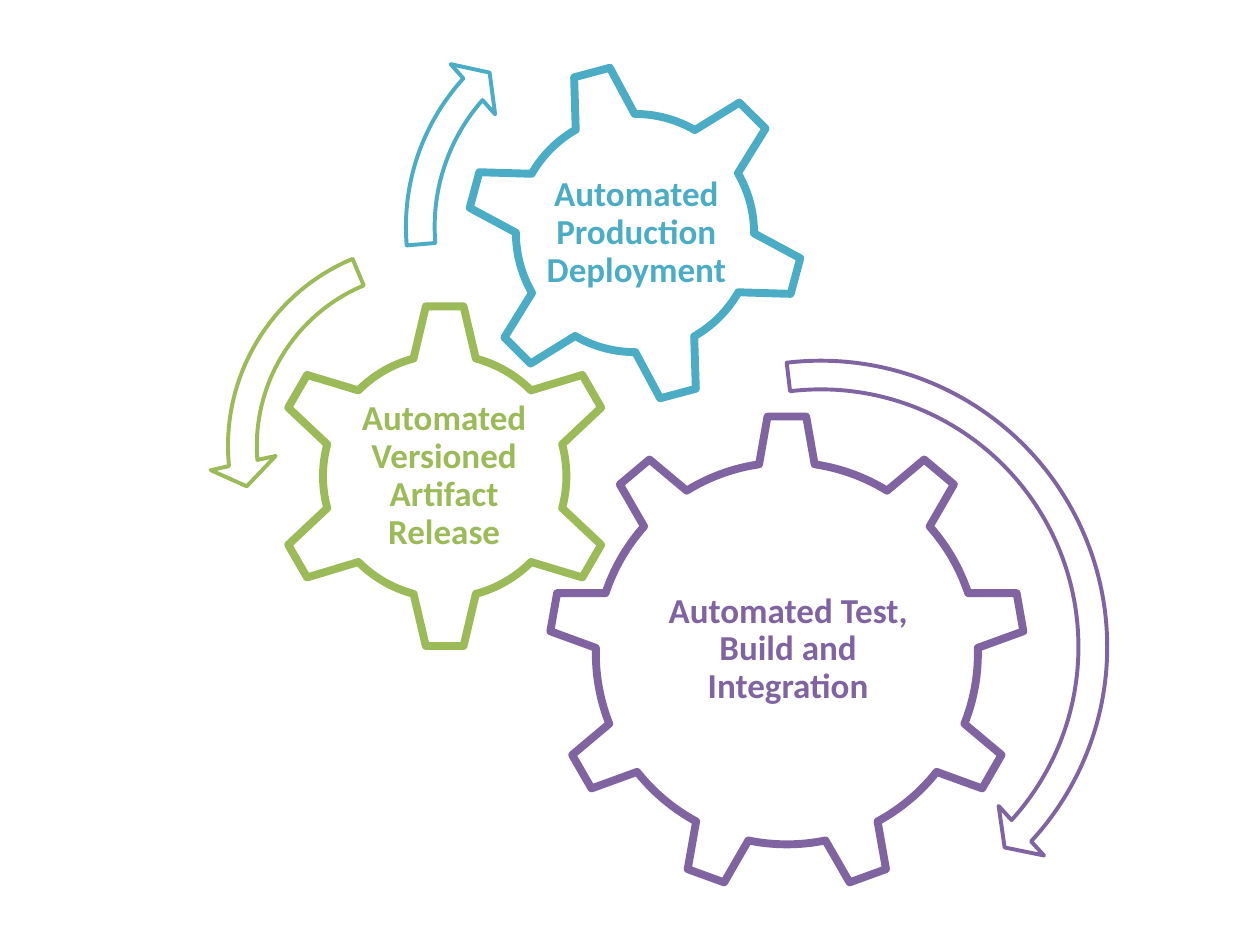
from pptx import Presentation
from pptx.dml.color import RGBColor
from pptx.enum.shapes import MSO_SHAPE
from pptx.enum.text import MSO_ANCHOR, PP_ALIGN
from pptx.util import Inches, Pt


def color(hex):
    return RGBColor.from_string(hex)


def draw(kind, box, hue, width, fill=None):
    shape = slide.shapes.add_shape(kind, *map(Inches, box))
    shape.shadow.inherit = False
    if fill:
        shape.fill.solid()
        shape.fill.fore_color.rgb = color(fill)
    else:
        shape.fill.background()
    shape.line.color.rgb = color(hue)
    shape.line.width = Pt(width)
    return shape


# Slide
deck = Presentation()
deck.slide_width, deck.slide_height = Inches(10), Inches(7.5)
slide = deck.slides.add_slide(deck.slide_layouts[6])

# Palette and formats
PURPLE, GREEN, BLUE, WHITE = "8064A2", "9BBB59", "4BACC6", "FFFFFF"
pad = Inches(0.03)
frame_style = {
    "word_wrap": True, "vertical_anchor": MSO_ANCHOR.MIDDLE,
    "margin_left": pad, "margin_right": pad,
    "margin_top": pad, "margin_bottom": pad,
}
para_style = {"alignment": PP_ALIGN.CENTER, "line_spacing": 0.9}
font_style = {"name": "Calibri", "size": Pt(20), "bold": True}

# Gears: shape, left, top, size, turn, colour, label box, label
gears = [
    (MSO_SHAPE.GEAR_9, 4.35, 3.29, 3.79, 0, PURPLE,
     (5.12, 4.18, 2.27, 1.95), "Automated Test, Build and Integration"),
    (MSO_SHAPE.GEAR_6, 2.15, 2.4, 2.76, 0, GREEN,
     (2.84, 3.1, 1.37, 1.36), "Automated Versioned Artifact Release"),
    (MSO_SHAPE.GEAR_6, 3.69, 0.5, 2.7, 345, BLUE,
     (4.29, 1.09, 1.52, 1.52), "Automated Production Deployment"),
]
for kind, left, top, size, turn, hue, area, label in gears:
    gear = draw(kind, (left, top, size, size), hue, 4.5)
    gear.rotation = turn

    # Upright label over the gear
    frame = slide.shapes.add_textbox(*map(Inches, area)).text_frame
    para = frame.paragraphs[0]
    run = para.add_run()
    run.text = label
    run.font.color.rgb = color(hue)
    for part, style in ((frame, frame_style), (para, para_style),
                        (run.font, font_style)):
        for key, value in style.items():
            setattr(part, key, value)

# Turning arrows: shape, left, top, size, colour, fill, adjustments
arrows = [
    (MSO_SHAPE.CIRCULAR_ARROW, 4.09, 2.71, 4.85, PURPLE, None,
     (0.047, 2.99, 25.508, 157.885, 0.055)),
    (MSO_SHAPE.LEFT_CIRCULAR_ARROW, 1.66, 1.78, 3.52, GREEN, WHITE,
     (0.065, 4.3, 104.891, 148.378, 0.075)),
    (MSO_SHAPE.CIRCULAR_ARROW, 3.07, -0.1, 3.8, BLUE, WHITE,
     (0.06, 3.941, 133.138, 105.082, 0.07)),
]
for kind, left, top, size, hue, fill, bends in arrows:
    arrow = draw(kind, (left, top, size, size), hue, 2.25, fill)
    for i, bend in enumerate(bends):
        arrow.adjustments[i] = bend

deck.save("out.pptx")
